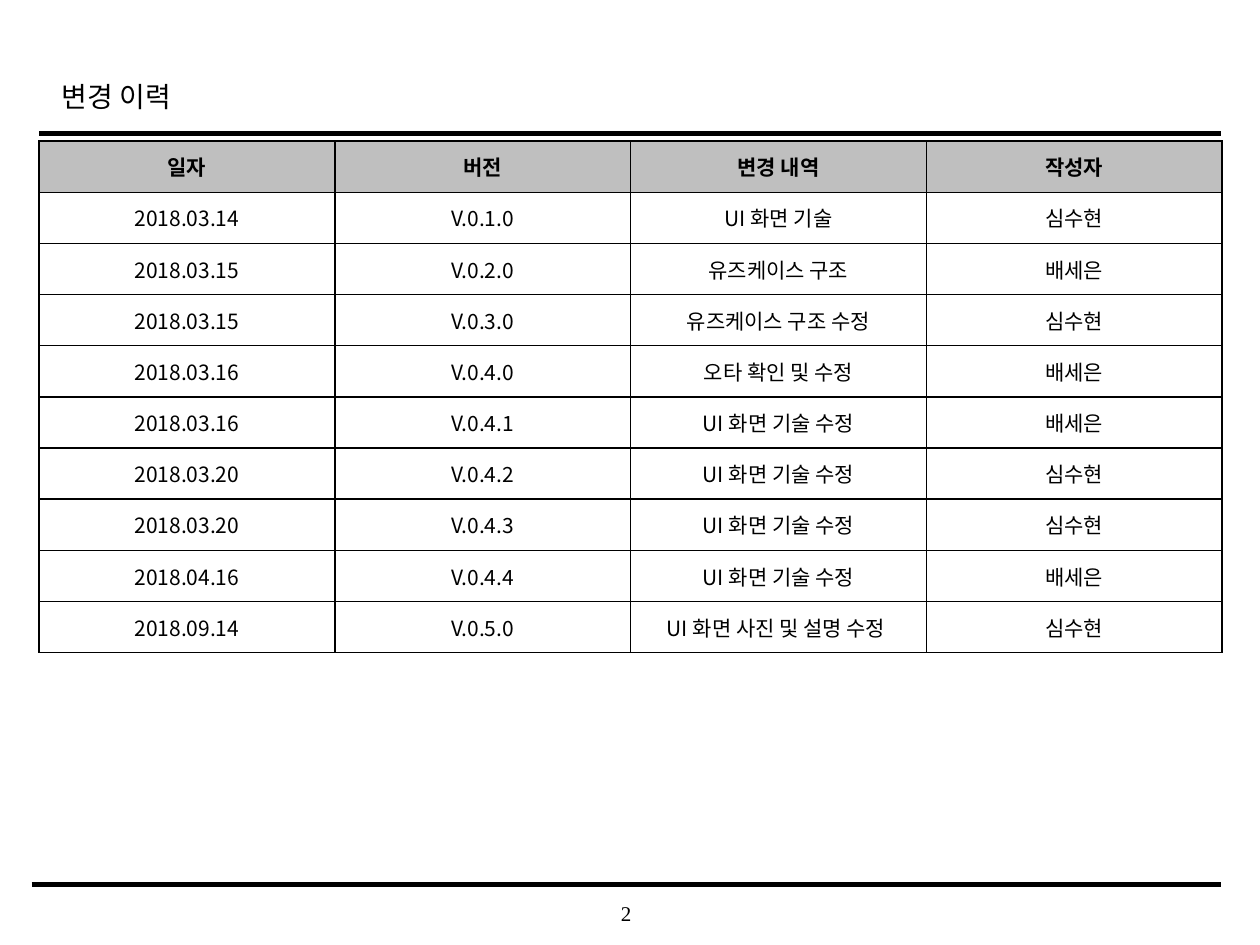
"""Build the revision history slide."""
import dataclasses

import lxml.etree
import pptx
import pptx.dml.color
import pptx.enum.shapes
import pptx.enum.text
import pptx.oxml.ns
import pptx.slide
import pptx.table
import pptx.text.text
import pptx.util

Inches = pptx.util.Inches
Align = pptx.enum.text.PP_ALIGN
Anchor = pptx.enum.text.MSO_ANCHOR
qn = pptx.oxml.ns.qn


@dataclasses.dataclass(frozen=True)
class Theme:
    ink: str = "000000"
    head: str = "BFBFBF"
    body: str = "FFFFFF"
    sans: str = "Noto Sans CJK KR"
    serif: str = "Times New Roman"
    title: int = 16
    text: int = 12
    edge: int = 1


@dataclasses.dataclass(frozen=True)
class Rule:
    left: float
    right: float
    top: float
    width: float


@dataclasses.dataclass(frozen=True)
class Change:
    date: str
    version: str
    detail: str
    author: str


THEME = Theme()
RULES = [Rule(0.31, 9.69, 1.06, 2.5), Rule(0.25, 9.69, 7.02, 3)]
HEAD = Change("일자", "버전", "변경 내역", "작성자")
LOG = [
    Change("2018.03.14", "V.0.1.0", "UI 화면 기술", "심수현"),
    Change("2018.03.15", "V.0.2.0", "유즈케이스 구조", "배세은"),
    Change("2018.03.15", "V.0.3.0", "유즈케이스 구조 수정", "심수현"),
    Change("2018.03.16", "V.0.4.0", "오타 확인 및 수정", "배세은"),
    Change("2018.03.16", "V.0.4.1", "UI 화면 기술 수정", "배세은"),
    Change("2018.03.20", "V.0.4.2", "UI 화면 기술 수정", "심수현"),
    Change("2018.03.20", "V.0.4.3", "UI 화면 기술 수정", "심수현"),
    Change("2018.04.16", "V.0.4.4", "UI 화면 기술 수정", "배세은"),
    Change("2018.09.14", "V.0.5.0", "UI 화면 사진 및 설명 수정 ", "심수현"),
]


def tint(color: str) -> pptx.dml.color.RGBColor:
    return pptx.dml.color.RGBColor.from_string(color)


def write(frame: pptx.text.text.TextFrame, text: str, *, size: int = THEME.text,
          font: str = THEME.sans, bold: bool = False,
          align: Align = Align.CENTER, space: float = 1.0) -> None:
    para = frame.paragraphs[0]
    para.alignment, para.line_spacing = align, space
    run = para.add_run()
    run.text = text
    run.font.name, run.font.size, run.font.bold = font, pptx.util.Pt(size), bold
    run.font.color.rgb = tint(THEME.ink)
    east = lxml.etree.Element(qn("a:ea"), typeface=THEME.sans)
    run.font._element.find(qn("a:latin")).addnext(east)


def draw_rule(slide: pptx.slide.Slide, rule: Rule) -> None:
    line = slide.shapes.add_connector(
        pptx.enum.shapes.MSO_CONNECTOR.STRAIGHT, Inches(rule.left),
        Inches(rule.top), Inches(rule.right), Inches(rule.top))
    line.line.color.rgb = tint(THEME.ink)
    line.line.width = pptx.util.Pt(rule.width)
    lxml.etree.SubElement(line._element.spPr, qn("a:effectLst"))


def draw_cell(cell: pptx.table._Cell, text: str, head: bool) -> None:
    props = cell._tc.get_or_add_tcPr()
    for side in "LRTB":
        edge = lxml.etree.SubElement(props, qn(f"a:ln{side}"),
                                     w=str(pptx.util.Pt(THEME.edge)))
        fill = lxml.etree.SubElement(edge, qn("a:solidFill"))
        lxml.etree.SubElement(fill, qn("a:srgbClr"), val=THEME.ink)
    cell.fill.solid()
    cell.fill.fore_color.rgb = tint(THEME.head if head else THEME.body)
    cell.vertical_anchor = Anchor.MIDDLE
    write(cell.text_frame, text, bold=head)


def draw_log(slide: pptx.slide.Slide, log: list[Change]) -> None:
    rows = [dataclasses.astuple(item) for item in [HEAD, *log]]
    grid = slide.shapes.add_table(
        len(rows), len(rows[0]), Inches(0.31), Inches(1.12),
        Inches(9.39), Inches(4.06)).table
    for i, row in enumerate(rows):
        for j, text in enumerate(row):
            draw_cell(grid.cell(i, j), text, i == 0)


def draw_title(slide: pptx.slide.Slide, text: str) -> None:
    title = slide.shapes.title
    title.left, title.top = Inches(0.39), Inches(0.49)
    title.width, title.height = Inches(7.55), Inches(0.5)
    title.text_frame.vertical_anchor = Anchor.MIDDLE
    write(title.text_frame, text, size=THEME.title, font=THEME.serif,
          align=Align.LEFT, space=1.2)


def draw_page(slide: pptx.slide.Slide, text: str) -> None:
    frame = slide.shapes.add_textbox(
        Inches(3.93), Inches(7.08), Inches(2.08), Inches(0.33)).text_frame
    frame.word_wrap = True
    frame.vertical_anchor = Anchor.MIDDLE
    frame.margin_left = frame.margin_right = 0
    frame.margin_top = frame.margin_bottom = 0
    write(frame, text, font=THEME.serif)


def main() -> None:
    deck = pptx.Presentation()
    deck.slide_width, deck.slide_height = Inches(10), Inches(7.5)
    slide = deck.slides.add_slide(deck.slide_layouts[5])
    draw_page(slide, "2")
    for rule in RULES:
        draw_rule(slide, rule)
    draw_title(slide, "변경 이력")
    draw_log(slide, LOG)
    deck.save("out.pptx")


if __name__ == "__main__":
    main()
